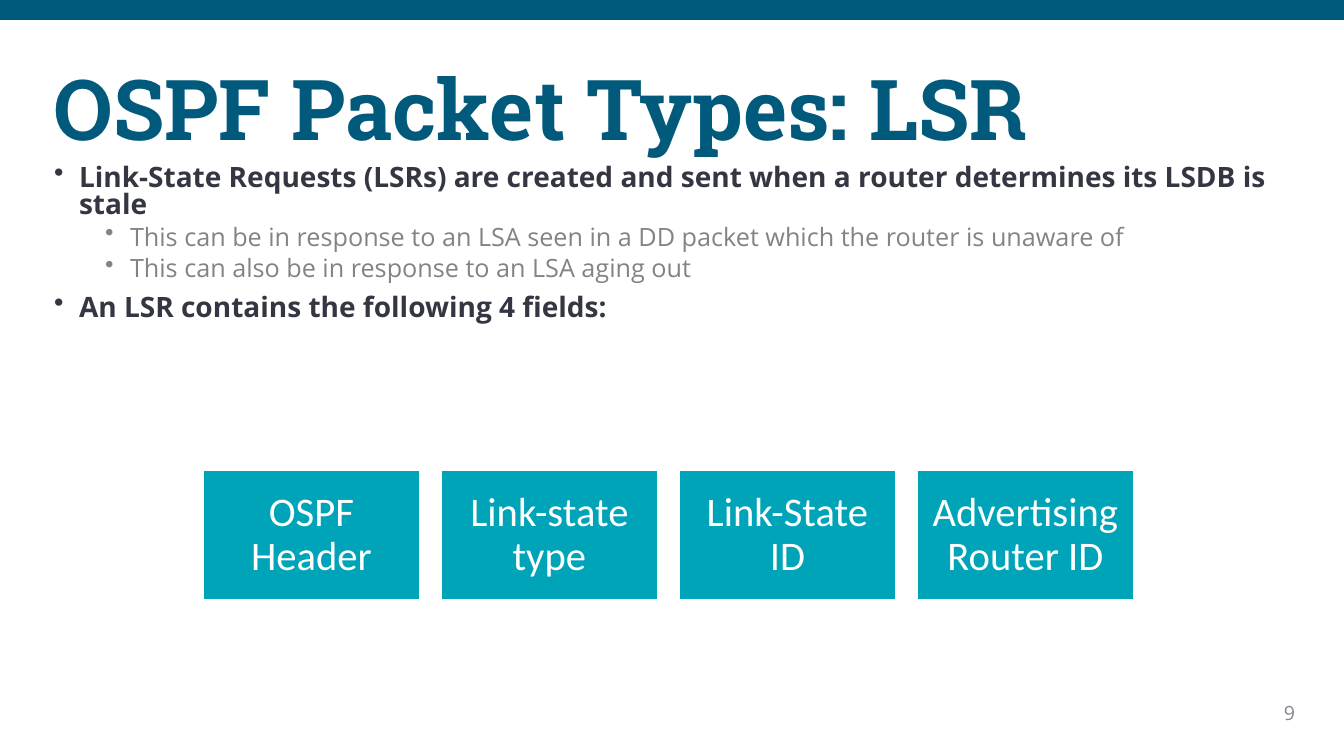
from dataclasses import dataclass

from lxml.etree import SubElement
from pptx import Presentation
from pptx.dml.color import RGBColor
from pptx.enum.shapes import MSO_SHAPE
from pptx.enum.text import MSO_ANCHOR, PP_ALIGN
from pptx.oxml.ns import qn
from pptx.shapes.autoshape import Shape
from pptx.slide import Slide
from pptx.util import Emu, Pt


@dataclass(frozen=True)
class Style:
    """Font, size, colour and weight of a run."""
    font: str
    size: int
    color: str
    bold: bool = False


@dataclass(frozen=True)
class Theme:
    """Colours and type styles of the slide."""
    bar: str = "005A7C"
    tile: str = "00A4B8"
    edge: str = "FFFFFF"
    title: Style = Style("Roboto Slab", 60, "015A7C", True)
    main: Style = Style("Open Sans", 20, "343741", True)
    sub: Style = Style("Open Sans", 18, "838383")
    page: Style = Style("Open Sans", 14, "858891")
    label: Style = Style("Calibri", 29, "FFFFFF")


@dataclass(frozen=True)
class Box:
    """A frame in px."""
    left: int
    top: int
    width: int
    height: int


@dataclass(frozen=True)
class Line:
    """One text paragraph, with a bullet when it has an indent."""
    text: str
    style: Style
    level: int = 0
    indent: int = 0
    before: int = 0
    space: float = 0.9
    align: PP_ALIGN = PP_ALIGN.LEFT


THEME = Theme()
SCALE = 12192000 / 1344
HANG = 25
BODY = [
    Line("Link-State Requests (LSRs) are created and sent when a router "
         "determines its LSDB is stale", THEME.main, 0, 25, 0, 0.8),
    Line("This can be in response to an LSA seen in a DD packet which the "
         "router is unaware of", THEME.sub, 1, 76, 5, 0.8),
    Line("This can also be in response to an LSA aging out",
         THEME.sub, 1, 76, 5, 0.8),
    Line("An LSR contains the following 4 fields:",
         THEME.main, 0, 25, 10, 0.8),
]
FIELDS = ["OSPF Header", "Link-state type", "Link-State ID",
          "Advertising Router ID"]


def px(count: int) -> Emu:
    """Turn px into EMU."""
    return Emu(round(count * SCALE))


def frame(box: Box) -> tuple[Emu, Emu, Emu, Emu]:
    """Return the frame of a box in EMU."""
    return px(box.left), px(box.top), px(box.width), px(box.height)


def write(shape: Shape, lines: list[Line], anchor: MSO_ANCHOR,
          side: int = 10, edge: int = 5) -> None:
    """Fill a shape with paragraphs."""
    text = shape.text_frame
    text.word_wrap = True
    text.vertical_anchor = anchor
    text.margin_left = text.margin_right = px(side)
    text.margin_top = text.margin_bottom = px(edge)
    for index, line in enumerate(lines):
        para = text.add_paragraph() if index else text.paragraphs[0]
        if line.indent:
            props = para._p.get_or_add_pPr()
            props.set("marL", str(px(line.indent)))
            props.set("indent", str(-px(HANG)))
            SubElement(props, qn("a:buChar")).set("char", "•")
        para.level = line.level
        para.alignment = line.align
        para.line_spacing = line.space
        para.space_before = Pt(line.before)
        run = para.add_run()
        run.text = line.text
        font = run.font
        font.name = line.style.font
        font.size = Pt(line.style.size)
        font.bold = line.style.bold
        font.color.rgb = RGBColor.from_string(line.style.color)


def add_text(slide: Slide, box: Box, lines: list[Line],
             anchor: MSO_ANCHOR = MSO_ANCHOR.TOP) -> None:
    """Add a text box."""
    write(slide.shapes.add_textbox(*frame(box)), lines, anchor)


def add_rect(slide: Slide, box: Box, fill: str) -> Shape:
    """Add a plain rectangle with no outline."""
    rect = slide.shapes.add_shape(MSO_SHAPE.RECTANGLE, *frame(box))
    rect.shadow.inherit = False
    rect.fill.solid()
    rect.fill.fore_color.rgb = RGBColor.from_string(fill)
    rect.line.fill.background()
    return rect


def add_tile(slide: Slide, box: Box, name: str) -> None:
    """Add a labelled packet field."""
    tile = add_rect(slide, box, THEME.tile)
    tile.line.color.rgb = RGBColor.from_string(THEME.edge)
    tile.line.width = Pt(1)
    label = Line(name, THEME.label, align=PP_ALIGN.CENTER)
    write(tile, [label], MSO_ANCHOR.MIDDLE, 12, 12)


def main() -> None:
    """Build and save the slide."""
    deck = Presentation()
    deck.slide_width, deck.slide_height = px(1344), px(756)
    slide = deck.slides.add_slide(deck.slide_layouts[6])
    add_rect(slide, Box(0, 0, 1344, 20), THEME.bar)
    add_text(slide, Box(1240, 696, 65, 34),
             [Line("9", THEME.page, space=1.0, align=PP_ALIGN.RIGHT)])
    add_text(slide, Box(44, 40, 1283, 146),
             [Line("OSPF Packet Types: LSR", THEME.title)], MSO_ANCHOR.MIDDLE)
    add_text(slide, Box(44, 161, 1246, 203), BODY)
    for index, name in enumerate(FIELDS):
        add_tile(slide, Box(203 + 238 * index, 470, 217, 130), name)
    deck.save("out.pptx")


if __name__ == "__main__":
    main()
